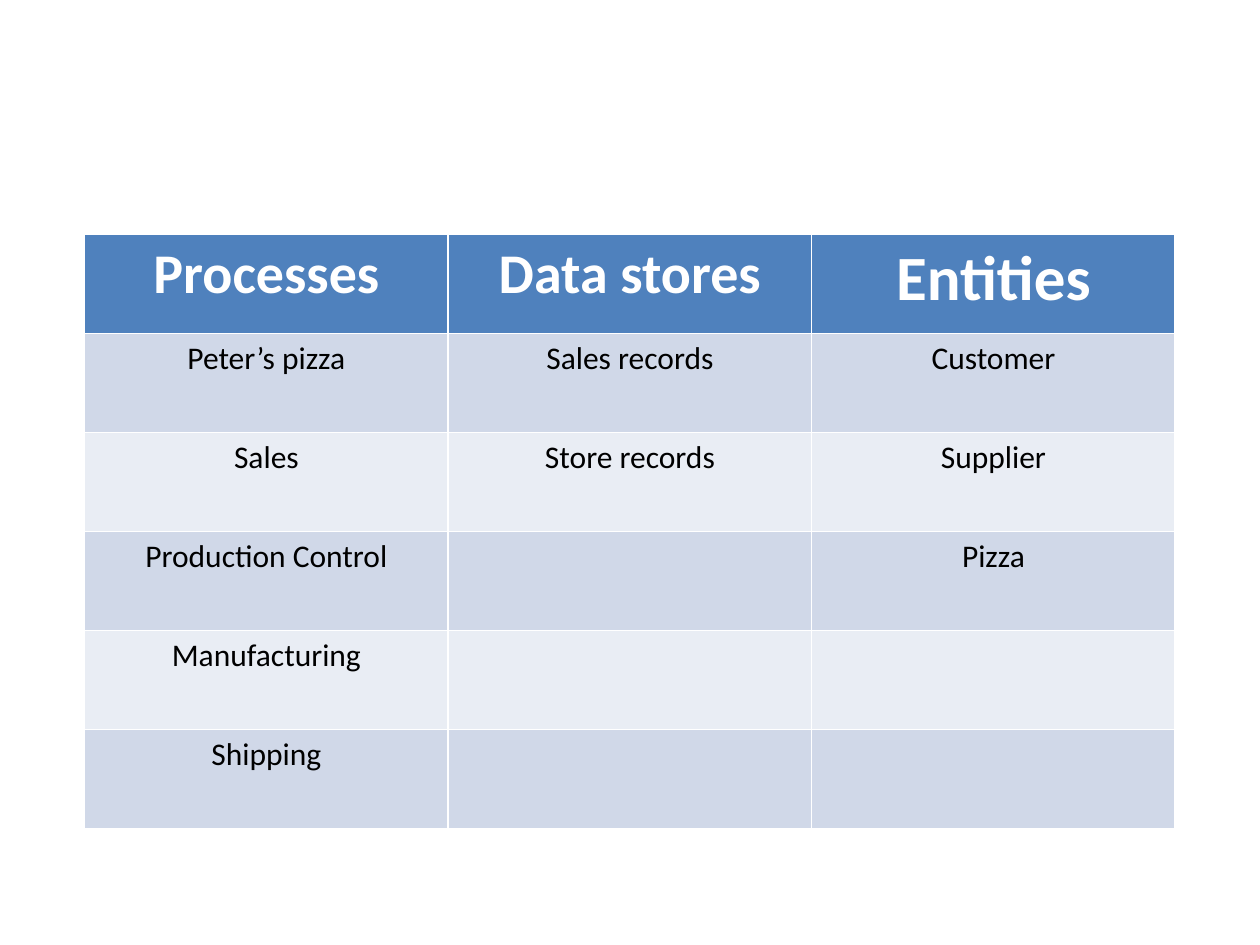
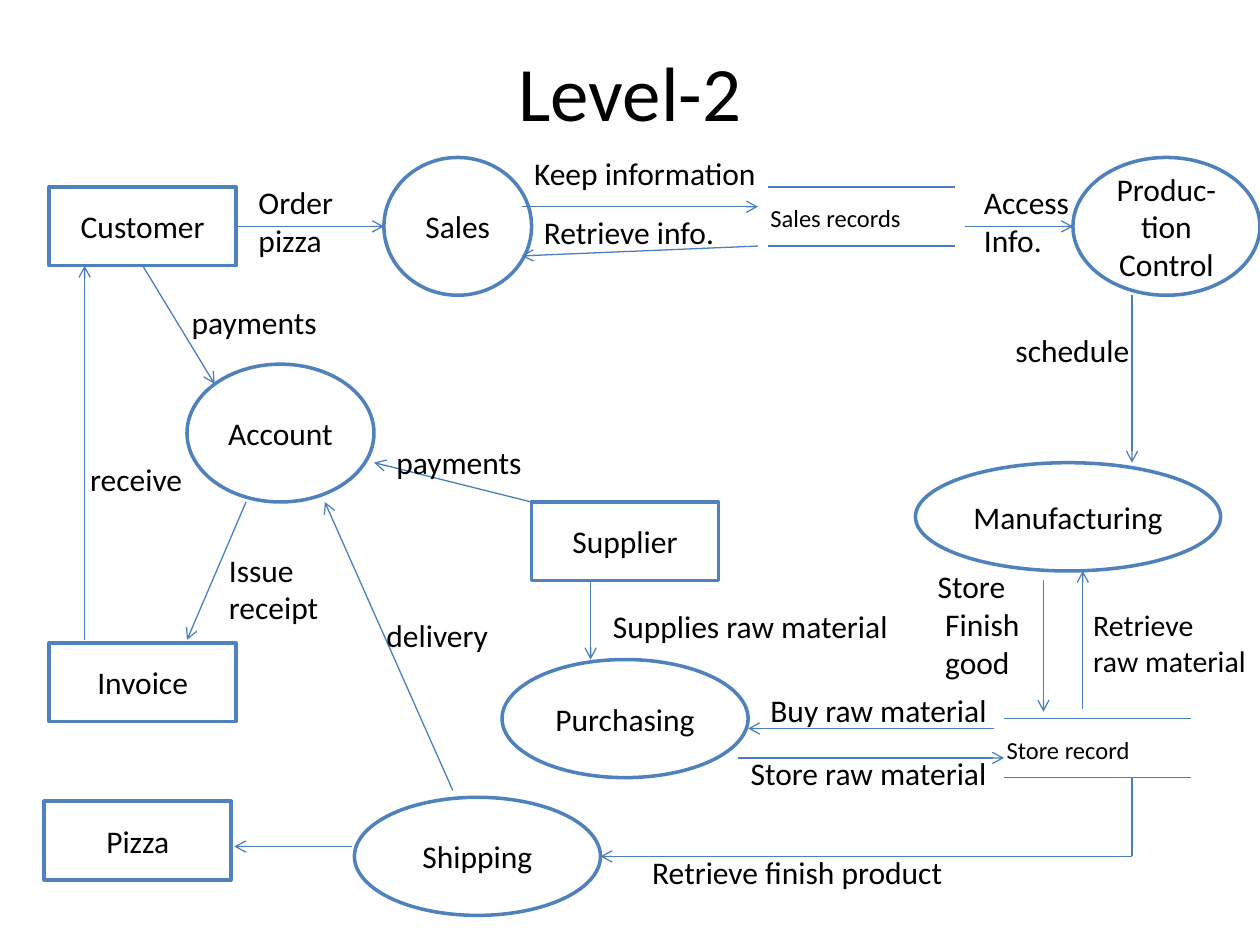
import pptx
import pptx.util
import pptx.dml.color
import pptx.enum.shapes
import pptx.enum.text
import pptx.oxml.ns
import lxml.etree

BLUE = pptx.dml.color.RGBColor(0x4F, 0x81, 0xBD)
LINE_BLUE = pptx.dml.color.RGBColor(0x4B, 0x7E, 0xBC)
DARK_BAND = pptx.dml.color.RGBColor(0xD0, 0xD8, 0xE8)
LIGHT_BAND = pptx.dml.color.RGBColor(0xE9, 0xED, 0xF4)
WHITE = pptx.dml.color.RGBColor(0xFF, 0xFF, 0xFF)
BLACK = pptx.dml.color.RGBColor(0x00, 0x00, 0x00)
FONT = "Calibri"
CENTER = pptx.enum.text.PP_ALIGN.CENTER
LEFT = pptx.enum.text.PP_ALIGN.LEFT
MIDDLE = pptx.enum.text.MSO_ANCHOR.MIDDLE
RECTANGLE = pptx.enum.shapes.MSO_SHAPE.RECTANGLE
CIRCLE = pptx.enum.shapes.MSO_SHAPE.FLOWCHART_CONNECTOR
STRAIGHT = pptx.enum.shapes.MSO_CONNECTOR.STRAIGHT
TOP, LEFT_SIDE, BOTTOM, RIGHT_SIDE = range(4)
GRID_COLUMNS = 128

presentation = pptx.Presentation()
presentation.slide_width = pptx.util.Inches(10)
presentation.slide_height = pptx.util.Inches(7.5)
blank_layout = presentation.slide_layouts[6]


def grid(*cells):
    return [int(cell * presentation.slide_width / GRID_COLUMNS) for cell in cells]


def write_text(frame, lines, size, color=BLACK, alignment=CENTER, bold=False):
    for index, line in enumerate(lines):
        paragraph = frame.paragraphs[0] if index == 0 else frame.add_paragraph()
        paragraph.alignment = alignment
        run = paragraph.add_run()
        run.text = line
        run.font.name = FONT
        run.font.size = pptx.util.Pt(size)
        run.font.bold = bold
        run.font.color.rgb = color


table_slide = presentation.slides.add_slide(blank_layout)
rows = [
    ["Processes", "Data stores", "Entities"],
    ["Peter’s pizza", "Sales records", "Customer"],
    ["Sales", "Store records", "Supplier"],
    ["Production Control", "", "Pizza"],
    ["Manufacturing", "", ""],
    ["Shipping", "", ""],
]
header_sizes = [32, 32, 36]
table = table_slide.shapes.add_table(
    len(rows), len(header_sizes), *grid(8.6, 23.8, 110.8, 60.4)
).table
for row_index, row in enumerate(rows):
    for column_index, text in enumerate(row):
        cell = table.cell(row_index, column_index)
        cell.fill.solid()
        if row_index == 0:
            cell.fill.fore_color.rgb = BLUE
            write_text(cell.text_frame, [text], header_sizes[column_index], WHITE, bold=True)
        else:
            cell.fill.fore_color.rgb = DARK_BAND if row_index % 2 else LIGHT_BAND
            if text:
                write_text(cell.text_frame, [text], 18)

diagram_slide = presentation.slides.add_slide(blank_layout)
title = diagram_slide.shapes.add_textbox(*grid(6.4, 3.8, 115.2, 10.9))
title.text_frame.word_wrap = True
title.text_frame.vertical_anchor = MIDDLE
write_text(title.text_frame, ["Level-2"], 44)

nodes = [
    ("Customer", RECTANGLE, 5, 19, 19, 8),
    ("Supplier", RECTANGLE, 54, 51, 19, 8),
    ("Invoice", RECTANGLE, 5, 65.3, 19, 8),
    ("Pizza", RECTANGLE, 4.5, 81.4, 19, 8),
    ("Sales", CIRCLE, 39, 16, 15, 14),
    ("Account", CIRCLE, 19, 37, 19, 14),
    ("Produc-tion Control", CIRCLE, 109, 16, 19, 14),
    ("Manufacturing", CIRCLE, 93, 47, 31, 11),
    ("Purchasing", CIRCLE, 51, 67, 25, 12),
    ("Shipping", CIRCLE, 36, 81, 25, 12),
]
node_shapes = {}
for name, kind, *box in nodes:
    shape = diagram_slide.shapes.add_shape(kind, *grid(*box))
    shape.shadow.inherit = False
    shape.fill.solid()
    shape.fill.fore_color.rgb = WHITE
    shape.line.color.rgb = BLUE
    shape.line.width = pptx.util.Pt(2)
    shape.text_frame.word_wrap = True
    shape.text_frame.vertical_anchor = MIDDLE
    write_text(shape.text_frame, [name], 18)
    node_shapes[name] = shape

store_edges = [
    (78, 19, 97, 19),
    (78, 25, 97, 25),
    (102, 73, 121, 73),
    (102, 79, 121, 79),
]
elbow_start = [(115, 79, 115, 87)]
flows = [
    (24, 23, 39, 23),
    (14.5, 27, 21.8, 39),
    (53, 21, 77, 21),
    (77, 25, 53, 26),
    (98, 23, 109, 23),
    (115, 30, 115, 47),
    (106, 58.9, 106, 72.3),
    (110, 72, 110, 58),
    (75, 77, 102, 77),
    (101, 74, 76, 74),
    (115, 87, 61, 87),
    (60, 59, 60, 67),
    (54, 51, 38, 47),
    (46, 80.3, 33, 51),
    (25, 51, 19, 65),
    (8.6, 65, 8.6, 27),
    (35.8, 86, 23.8, 86),
]
joined_starts = {
    flows[0]: ("Customer", RIGHT_SIDE),
    flows[1]: ("Customer", BOTTOM),
}
for ends in store_edges + elbow_start + flows:
    connector = diagram_slide.shapes.add_connector(STRAIGHT, *grid(*ends))
    connector.line.color.rgb = LINE_BLUE
    connector.line.width = pptx.util.Pt(0.75)
    if ends in flows:
        line_element = connector.line._get_or_add_ln()
        lxml.etree.SubElement(line_element, pptx.oxml.ns.qn("a:tailEnd"), type="arrow")
    lxml.etree.SubElement(connector._element.spPr, pptx.oxml.ns.qn("a:effectLst"))
    if ends in joined_starts:
        name, side = joined_starts[ends]
        connector.begin_connect(node_shapes[name], side)

labels = [
    (["Order pizza"], 18, True, 25, 18, 16, 9),
    (["Sales records"], 14, True, 77, 20, 24, 4.4),
    (["Keep information"], 18, True, 53, 15, 28, 5),
    (["Retrieve info."], 18, True, 54, 21, 22, 5),
    (["Store record"], 14, True, 101, 74, 24, 4.4),
    (["Store", "Finish", "good"], 18, True, 94, 57, 13, 13),
    (["Retrieve", "raw material"], 17, False, 109.8, 61, 18.2, 8.6),
    (["Store raw material"], 18, True, 75, 76, 28.2, 5),
    (["Buy raw material"], 18, True, 77, 69.6, 28.8, 5),
    (["Retrieve finish product"], 18, False, 65, 86, 32.4, 5),
    (["Supplies raw material"], 18, True, 61, 61, 32.8, 5),
    (["schedule"], 18, False, 101.9, 33, 14.3, 5),
    (["Access", "Info."], 18, False, 98.7, 18, 11.3, 9),
    (["payments"], 18, False, 18.2, 30.2, 15.5, 5),
    (["payments"], 18, False, 39, 44.4, 15.5, 5),
    (["delivery"], 18, False, 38, 62, 13, 5),
    (["Issue", "receipt"], 18, False, 22, 55.3, 11.8, 9),
    (["receive"], 18, False, 7.9, 46.1, 12, 5),
]
for lines, size, wraps, *box in labels:
    label = diagram_slide.shapes.add_textbox(*grid(*box))
    label.text_frame.word_wrap = wraps
    write_text(label.text_frame, lines, size, alignment=LEFT)
    if lines[0] == "Store":
        for paragraph in label.text_frame.paragraphs[1:]:
            paragraph._p.get_or_add_pPr().set("marL", str(pptx.util.Inches(0.06)))

presentation.save("out.pptx")
